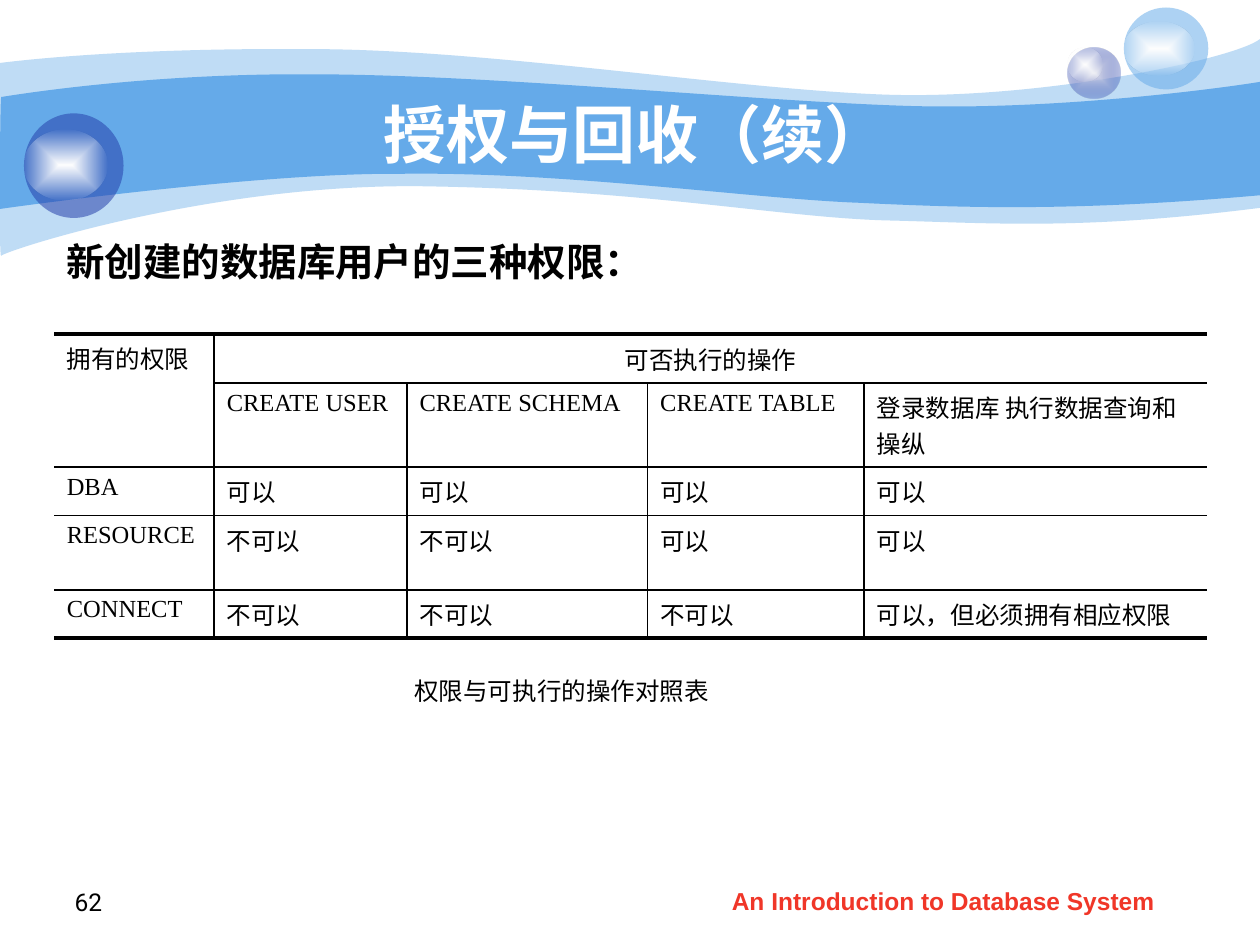
from dataclasses import dataclass

from lxml import etree
from pptx import Presentation
from pptx import util as u
from pptx.dml.color import RGBColor
from pptx.enum import shapes, text
from pptx.oxml import parse_xml
from pptx.oxml.ns import nsdecls, qn


@dataclass(frozen=True)
class Theme:
    sky: str = "65AAE9"
    navy: str = "233DA9"
    pearl: str = "E1E2ED"
    white: str = "FFFFFF"
    black: str = "000000"
    red: str = "F03628"
    sans: str = "Arial"
    serif: str = "Times New Roman"
    number: str = "Roboto"
    title_size: float = 36
    heading_size: float = 22
    text_size: float = 14
    thin: float = 1
    thick: float = 2.25


@dataclass(frozen=True)
class Wave:
    """A start point, cubic curves (six numbers each) and straight lines (two)."""
    start: tuple
    segments: tuple
    opacity: int


@dataclass(frozen=True)
class Ball:
    left: float
    top: float
    width: float
    height: float
    stops: tuple  # (colour, opacity) from centre to edge; one entry is a solid fill


THEME = Theme()
GLOW = ((THEME.white, 100), (THEME.white, 0))

WAVES = (
    Wave((0, 0.5), (
        (0.24, 0.47, 1.07, 0.38, 2.47, 0.39), (3.86, 0.39, 5.75, 0.7, 6.99, 0.75),
        (8.22, 0.8, 9.8, 0.47, 10, 0.31), (10, 1.65),
        (8.58, 1.83, 7.87, 1.77, 7.05, 1.75), (6.22, 1.73, 5.15, 1.51, 3.43, 1.48),
        (1.72, 1.44, 0.04, 1.99, 0.01, 2.03), (-0.01, 2.08, 0, 0.75, 0, 0.5)), 41),
    Wave((0.01, 0.77), (
        (0.02, 0.77, 1.1, 0.58, 2.48, 0.59), (3.86, 0.59, 5.95, 0.8, 7.18, 0.84),
        (8.41, 0.88, 9.76, 0.69, 10, 0.65), (10, 1.55),
        (8.53, 1.68, 7.65, 1.65, 6.82, 1.61), (5.99, 1.58, 4.47, 1.36, 3.17, 1.38),
        (2.03, 1.37, -0.02, 1.66, -0.01, 1.66), (0, 1.66, 0, 0.77, 0.01, 0.77)), 100),
)
BALLS = (
    Ball(8.47, 0.38, 0.42, 0.4, ((THEME.pearl, 100), (THEME.navy, 31))),
    Ball(8.47, 0.38, 0.28, 0.27, GLOW),
    Ball(8.92, 0.06, 0.67, 0.65, ((THEME.sky, 53),)),
    Ball(8.92, 0.17, 0.56, 0.43, GLOW),
    Ball(0.19, 0.9, 0.79, 0.83, ((THEME.navy, 53),)),
    Ball(0.19, 1.03, 0.66, 0.56, GLOW),
)
COLUMN_WIDTHS = (1.27, 1.53, 1.91, 1.72, 2.72)
ROW_HEIGHTS = (0.39, 0.55, 0.37, 0.59, 0.37)
PRIVILEGES = (
    ("拥有的权限", "可否执行的操作", "", "", ""),
    ("", "CREATE USER", "CREATE SCHEMA", "CREATE TABLE", "登录数据库 执行数据查询和操纵"),
    ("DBA", "可以", "可以", "可以", "可以"),
    ("RESOURCE", "不可以", "不可以", "可以", "可以"),
    ("CONNECT", "不可以", "不可以", "不可以", "可以，但必须拥有相应权限"),
)


def write(frame, words: str, *, size: float = THEME.text_size, font: str = THEME.serif,
          color: str = THEME.black, bold: bool = False,
          align=text.PP_ALIGN.LEFT) -> None:
    paragraph = frame.paragraphs[0]
    paragraph.alignment = align
    run = paragraph.add_run()
    run.text = words
    run.font.size = u.Pt(size)
    run.font.name = font
    run.font.bold = bold
    run.font.color.rgb = RGBColor.from_string(color)


def add_text(slide, box: tuple, words: str, *, anchor=text.MSO_ANCHOR.TOP,
             wrap: bool = True, **style) -> None:
    frame = slide.shapes.add_textbox(*map(u.Inches, box)).text_frame
    frame.word_wrap = wrap
    frame.vertical_anchor = anchor
    write(frame, words, **style)


def paint(shape, stops: tuple) -> None:
    """Fill a shape with one translucent colour or a gradient from its centre."""
    shape.shadow.inherit = False
    shape.line.fill.background()
    shape.fill.solid()
    shape.fill.fore_color.rgb = RGBColor.from_string(stops[0][0])
    solid = shape.element.spPr.find(qn("a:solidFill"))
    if len(stops) == 1:
        etree.SubElement(solid[0], qn("a:alpha"), val=str(stops[0][1] * 1000))
        return
    marks = "".join(
        f'<a:gs pos="{index * 100000}"><a:srgbClr val="{color}">'
        f'<a:alpha val="{opacity * 1000}"/></a:srgbClr></a:gs>'
        for index, (color, opacity) in enumerate(stops))
    gradient = parse_xml(
        f'<a:gradFill {nsdecls("a")} rotWithShape="1"><a:gsLst>{marks}</a:gsLst>'
        '<a:path path="shape"><a:fillToRect l="50000" t="50000" r="50000" b="50000"/>'
        '</a:path></a:gradFill>')
    solid.getparent().replace(solid, gradient)


def add_wave(slide, wave: Wave) -> None:
    """Build the outline from its end points, then bend its sides into curves."""
    builder = slide.shapes.build_freeform(*map(u.Inches, wave.start))
    builder.add_line_segments([tuple(map(u.Inches, segment[-2:]))
                               for segment in wave.segments], close=True)
    shape = builder.convert_to_shape()
    sides = list(shape.element.iter(qn("a:lnTo")))
    for side, segment in zip(sides, wave.segments):
        if len(segment) == 2:
            continue
        curve = etree.Element(qn("a:cubicBezTo"))
        for x, y in zip(segment[::2], segment[1::2]):
            etree.SubElement(curve, qn("a:pt"), x=str(u.Inches(x) - shape.left),
                             y=str(u.Inches(y) - shape.top))
        side.getparent().replace(side, curve)
    paint(shape, ((THEME.sky, wave.opacity),))


def add_ball(slide, ball: Ball) -> None:
    box = map(u.Inches, (ball.left, ball.top, ball.width, ball.height))
    paint(slide.shapes.add_shape(shapes.MSO_SHAPE.OVAL, *box), ball.stops)


def set_border(cell, side: str, width: float) -> None:
    """Draw one cell side; a width of 0 hides it."""
    properties = cell._tc.get_or_add_tcPr()
    line = etree.SubElement(properties, qn(f"a:ln{side}"), w=str(u.Pt(width)))
    if not width:
        etree.SubElement(line, qn("a:noFill"))
        return
    fill = etree.SubElement(line, qn("a:solidFill"))
    etree.SubElement(fill, qn("a:srgbClr"), val=THEME.black)


def add_privilege_table(slide) -> None:
    last_row, last_column = len(ROW_HEIGHTS) - 1, len(COLUMN_WIDTHS) - 1
    box = (0.43, 2.65, sum(COLUMN_WIDTHS), sum(ROW_HEIGHTS))
    table = slide.shapes.add_table(last_row + 1, last_column + 1,
                                   *map(u.Inches, box)).table
    table.first_row = table.horz_banding = False
    for column, width in zip(table.columns, COLUMN_WIDTHS):
        column.width = u.Inches(width)
    for row, height in zip(table.rows, ROW_HEIGHTS):
        row.height = u.Inches(height)
    table.cell(0, 0).merge(table.cell(1, 0))
    table.cell(0, 1).merge(table.cell(0, last_column))
    for r, labels in enumerate(PRIVILEGES):
        for c, label in enumerate(labels):
            cell = table.cell(r, c)
            spanning = (r, c) == (0, 1)
            reaches_right = c == last_column or spanning
            set_border(cell, "L", THEME.thin if c else 0)
            set_border(cell, "R", 0 if reaches_right else THEME.thin)
            set_border(cell, "T", THEME.thin if r else THEME.thick)
            set_border(cell, "B", THEME.thin if r < last_row else THEME.thick)
            cell.fill.background()
            if spanning:
                cell.vertical_anchor = text.MSO_ANCHOR.MIDDLE
            if label:
                write(cell.text_frame, label,
                      align=text.PP_ALIGN.CENTER if spanning else text.PP_ALIGN.LEFT)


def add_title(slide, words: str) -> None:
    title = slide.shapes.title
    title.left, title.top, title.width, title.height = map(u.Inches, (1, 0.75, 8.08, 0.62))
    title.text_frame.auto_size = text.MSO_AUTO_SIZE.NONE
    title.text_frame.vertical_anchor = text.MSO_ANCHOR.MIDDLE
    write(title.text_frame, words, size=THEME.title_size, font=THEME.sans,
          color=THEME.white, bold=True, align=text.PP_ALIGN.CENTER)
    slide.shapes.element.append(title.element)  # in front of the waves


def main() -> None:
    presentation = Presentation()
    presentation.slide_width, presentation.slide_height = u.Inches(10), u.Inches(7.5)
    slide = presentation.slides.add_slide(presentation.slide_layouts[5])
    for wave in WAVES:
        add_wave(slide, wave)
    for ball in BALLS:
        add_ball(slide, ball)
    add_text(slide, (5.71, 6.98, 3.94, 0.35), "An Introduction to Database System",
             font=THEME.sans, color=THEME.red, bold=True)
    add_text(slide, (0.27, 6.82, 0.64, 0.5), "62", font=THEME.number,
             anchor=text.MSO_ANCHOR.BOTTOM, align=text.PP_ALIGN.RIGHT)
    add_title(slide, "授权与回收（续）")
    add_privilege_table(slide)
    add_text(slide, (3.19, 5.32, 2.58, 0.33), "权限与可执行的操作对照表",
             anchor=text.MSO_ANCHOR.MIDDLE, wrap=False)
    add_text(slide, (0.43, 1.84, 5.34, 0.47), "新创建的数据库用户的三种权限：",
             size=THEME.heading_size, bold=True)
    presentation.save("out.pptx")


if __name__ == "__main__":
    main()
